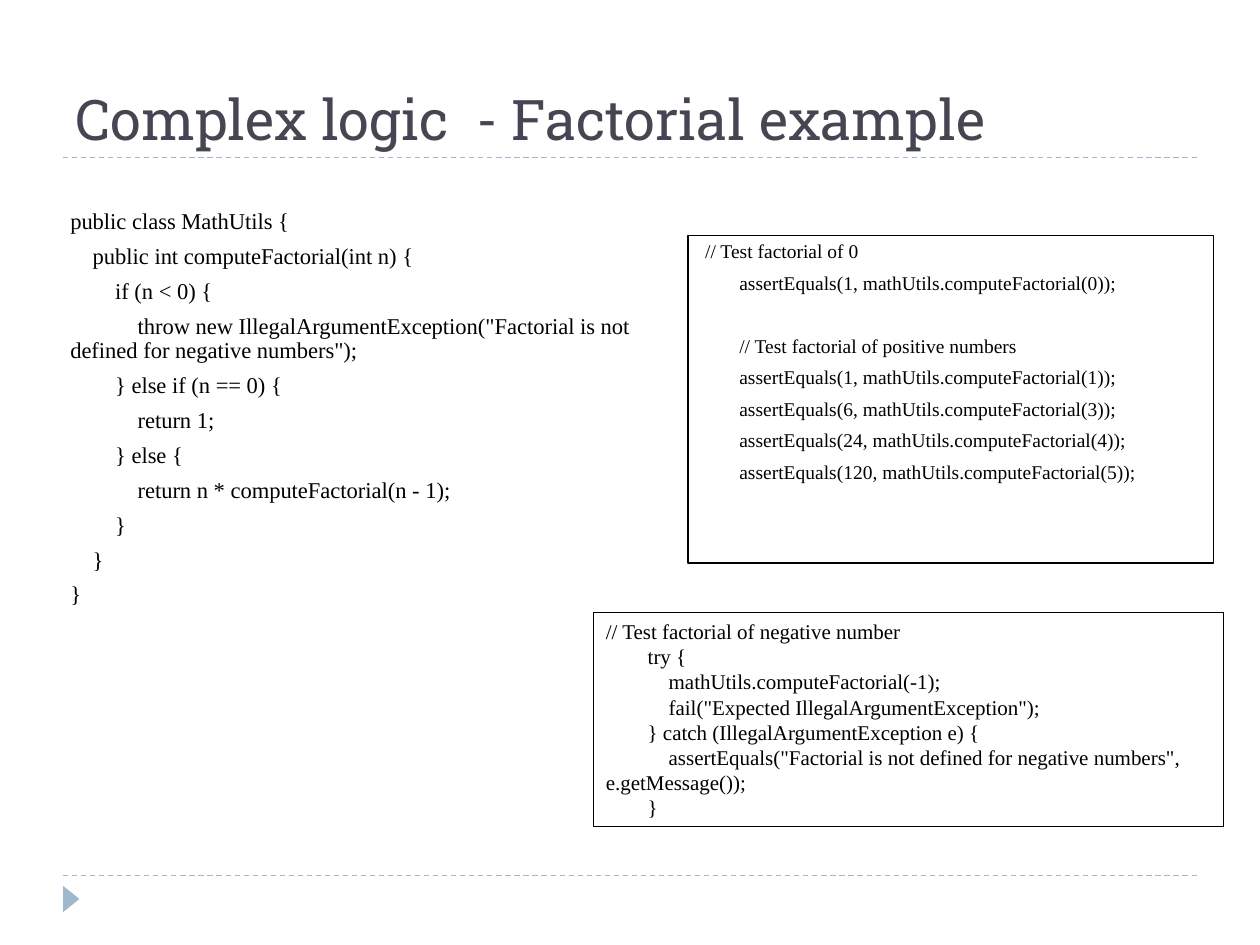
from lxml import etree
from pptx import Presentation
from pptx.dml.color import RGBColor
from pptx.enum.dml import MSO_LINE
from pptx.enum.shapes import MSO_CONNECTOR, MSO_SHAPE
from pptx.enum.text import MSO_ANCHOR, PP_ALIGN
from pptx.oxml.ns import qn
from pptx.util import Inches, Pt

STRAIGHT = MSO_CONNECTOR.STRAIGHT
TRIANGLE = MSO_SHAPE.ISOSCELES_TRIANGLE
RECTANGLE = MSO_SHAPE.RECTANGLE
DASH = MSO_LINE.DASH
TOP, BOTTOM = MSO_ANCHOR.TOP, MSO_ANCHOR.BOTTOM
LEFT = PP_ALIGN.LEFT

ACCENT = RGBColor(0x9F, 0xB8, 0xCD)
TITLE_COLOR = RGBColor(0x46, 0x46, 0x53)
BLACK = RGBColor(0, 0, 0)

IMPLEMENTATION = """public class MathUtils {
    public int computeFactorial(int n) {
        if (n < 0) {
            throw new IllegalArgumentException("Factorial is not defined for negative numbers");
        } else if (n == 0) {
            return 1;
        } else {
            return n * computeFactorial(n - 1);
        }
    }
}"""

VALUE_TESTS = """ // Test factorial of 0
        assertEquals(1, mathUtils.computeFactorial(0));
        // Test factorial of positive numbers
        assertEquals(1, mathUtils.computeFactorial(1));
        assertEquals(6, mathUtils.computeFactorial(3));
        assertEquals(24, mathUtils.computeFactorial(4));
        assertEquals(120, mathUtils.computeFactorial(5));"""

NEGATIVE_TEST = """// Test factorial of negative number
        try {
            mathUtils.computeFactorial(-1);
            fail("Expected IllegalArgumentException");
        } catch (IllegalArgumentException e) {
            assertEquals("Factorial is not defined for negative numbers", e.getMessage());
        }"""


def write_lines(shape, text, size, color=BLACK, font="Times New Roman",
                anchor=TOP, line_spacing=None, gap=0):
    """Fill a shape with one paragraph per line, with gap points between them."""
    frame = shape.text_frame
    frame.word_wrap = True
    frame.vertical_anchor = anchor
    for index, line in enumerate(text.split("\n")):
        paragraph = frame.paragraphs[0] if index == 0 else frame.add_paragraph()
        paragraph.text = line
        paragraph.alignment = LEFT
        paragraph.space_before = Pt(gap if index else 0)
        if line_spacing:
            paragraph.line_spacing = line_spacing
        paragraph.font.name = font
        paragraph.font.size = Pt(size)
        paragraph.font.color.rgb = color
    return frame


def add_code_frame(left, top, width, height):
    frame = slide.shapes.add_shape(RECTANGLE, Inches(left), Inches(top),
                                   Inches(width), Inches(height))
    frame.shadow.inherit = False
    frame.fill.background()
    frame.line.color.rgb = BLACK
    frame.line.width = Pt(0.75)
    return frame


prs = Presentation()
prs.slide_width = Inches(10)
prs.slide_height = Inches(7.5)
slide = prs.slides.add_slide(prs.slide_layouts[6])

# Dashed rules and the footer marker
for y in (6.95, 1.25):
    rule = slide.shapes.add_connector(STRAIGHT, Inches(0.5), Inches(y),
                                      Inches(9.5), Inches(y))
    rule.line.color.rgb = ACCENT
    rule.line.width = Pt(0.75)
    rule.line.dash_style = DASH
    etree.SubElement(rule._element.spPr, qn("a:effectLst"))

marker = slide.shapes.add_shape(TRIANGLE, Inches(0.46), Inches(7.07),
                                Inches(0.21), Inches(0.13))
marker.rotation = 90
marker.shadow.inherit = False
marker.fill.solid()
marker.fill.fore_color.rgb = ACCENT
marker.line.fill.background()

# Title
title = slide.shapes.add_textbox(Inches(0.5), Inches(0.17), Inches(9), Inches(1.08))
write_lines(title, "Complex logic  - Factorial example", 32, TITLE_COLOR,
            "Roboto Slab", BOTTOM)

# Code under test
implementation = slide.shapes.add_textbox(Inches(0.46), Inches(1.62),
                                          Inches(5), Inches(3.81))
write_lines(implementation, IMPLEMENTATION, 12.9, line_spacing=0.9, gap=6)

# Tests
value_tests = add_code_frame(5.46, 1.87, 4.17, 2.6)
value_lines = write_lines(value_tests, VALUE_TESTS, 11.1, line_spacing=0.9, gap=6)
value_lines.paragraphs[2].space_before = Pt(24)  # one empty line between the groups

negative_test = add_code_frame(4.71, 4.86, 5, 1.7)
write_lines(negative_test, NEGATIVE_TEST, 12)

prs.save("out.pptx")
